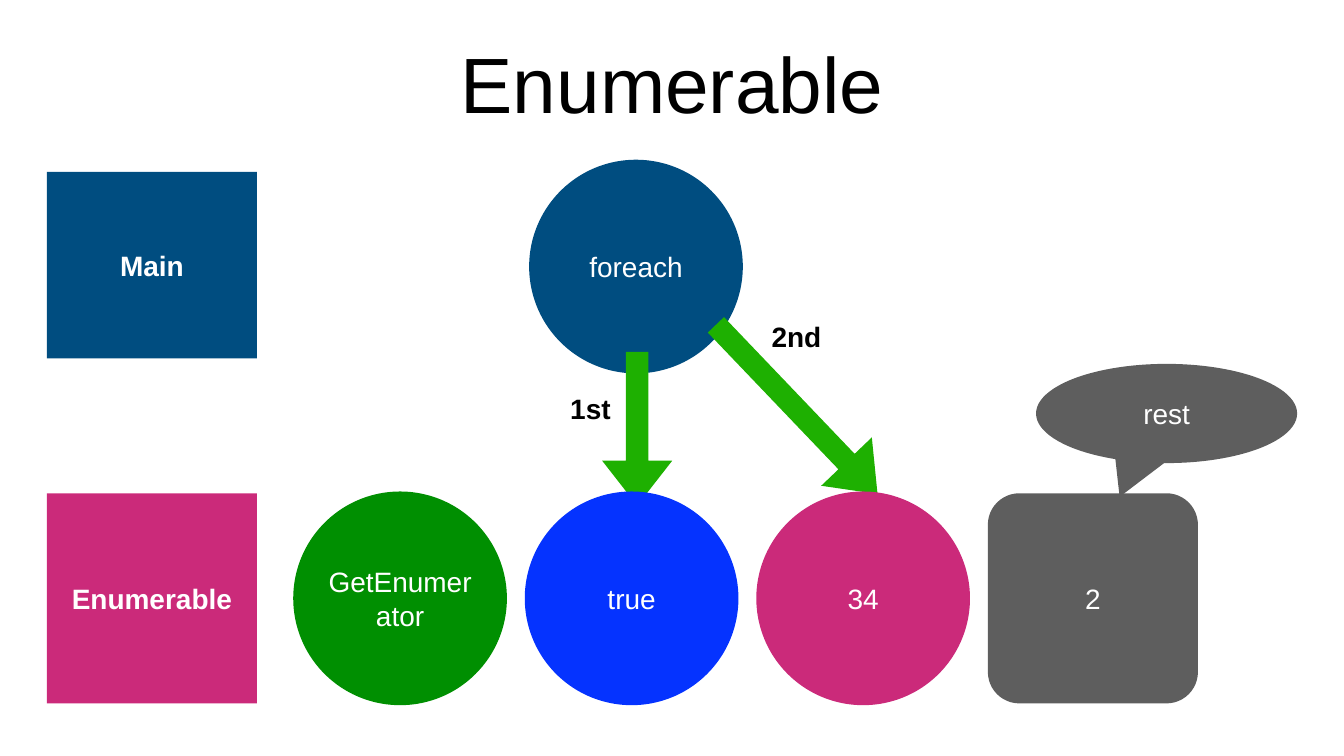
from pptx import Presentation
from pptx import util as u
from pptx.dml.color import RGBColor
from pptx.enum import shapes, text

Cm = u.Cm
FONT = "Arial"
WHITE, BLACK = "FFFFFF", "000000"
NAVY, PINK, GRAY = "004D80", "CB2A7A", "5E5E5E"
GREEN, BLUE, ARROW_GREEN = "008F01", "0533FF", "1EB001"
SHAPE = shapes.MSO_SHAPE
CIRCLE = 10.77
SQUARE = 10.59
INSET = (CIRCLE - SQUARE) / 2


def color(value):
    return RGBColor.from_string(value)


def write(shape, content, size=40, fill=WHITE, bold=False, margin=0, wrap=True):
    frame = shape.text_frame
    frame.word_wrap = wrap
    if not wrap:
        frame.auto_size = text.MSO_AUTO_SIZE.SHAPE_TO_FIT_TEXT
    frame.vertical_anchor = text.MSO_ANCHOR.MIDDLE
    frame.margin_left = frame.margin_right = Cm(margin)
    frame.margin_top = frame.margin_bottom = Cm(margin)
    paragraph = frame.paragraphs[0]
    paragraph.alignment = text.PP_ALIGN.CENTER
    run = paragraph.add_run()
    run.text = content
    run.font.name = FONT
    run.font.size = u.Pt(size)
    run.font.bold = bold
    run.font.color.rgb = color(fill)


def add_block(slide, kind, box, fill, content="", bold=False, adjustments=(), rotation=0):
    shape = slide.shapes.add_shape(kind, *map(Cm, box))
    shape.shadow.inherit = False
    shape.fill.solid()
    shape.fill.fore_color.rgb = color(fill)
    shape.line.fill.background()
    shape.rotation = rotation
    for index, value in enumerate(adjustments):
        shape.adjustments[index] = value
    if content:
        write(shape, content, bold=bold)


def add_text(slide, box, content, **style):
    shape = slide.shapes.add_textbox(*map(Cm, box))
    write(shape, content, fill=BLACK, margin=0.15, **style)


def add_main_row(slide, left, top):
    add_block(slide, SHAPE.RECTANGLE, (left, top + 0.61, SQUARE, 9.4), NAVY, "Main", bold=True)
    add_block(slide, SHAPE.OVAL, (left + 24.31, top, CIRCLE, CIRCLE), NAVY, "foreach")


def add_calls(slide, left, top):
    for x, y, length, rotation in ((1.57, 3.86, 7.75, 90), (7.59, 2.89, 11.79, 46.3)):
        add_block(slide, SHAPE.RIGHT_ARROW, (left + x, top + y, length, 3.53), ARROW_GREEN,
                  adjustments=(0.32, 0.64), rotation=rotation)
    for x, y, width, label in ((11.97, 0, 3, "2nd"), (1.79, 3.6, 2.6, "1st")):
        add_text(slide, (left + x, top + y, width, 1.98), label, bold=True, wrap=False)
    add_block(slide, SHAPE.OVAL_CALLOUT, (left + 25.55, top + 2.36, 13.16, 5), GRAY, "rest",
              adjustments=(-0.18, 0.84))


def add_enumerable_row(slide, left, top):
    first, pitch = left + 12.42, 11.67
    add_block(slide, SHAPE.RECTANGLE, (left, top + INSET, SQUARE, SQUARE), PINK,
              "Enumerable", bold=True)
    steps = (("GetEnumerator", GREEN), ("true", BLUE), ("34", PINK))
    for index, (label, fill) in enumerate(steps):
        add_block(slide, SHAPE.OVAL, (first + index * pitch, top, CIRCLE, CIRCLE), fill, label)
    add_block(slide, SHAPE.ROUNDED_RECTANGLE,
              (first + len(steps) * pitch, top + INSET, SQUARE, SQUARE), GRAY, "2",
              adjustments=(0.15,))


def main():
    presentation = Presentation()
    presentation.slide_width = Cm(67.74)
    presentation.slide_height = Cm(38.1)
    slide = presentation.slides.add_slide(presentation.slide_layouts[6])
    add_text(slide, (4.7, 0.99, 58.34, 6.35), "Enumerable", size=112)
    add_main_row(slide, 2.36, 8.05)
    add_calls(slide, 26.67, 15.98)
    add_enumerable_row(slide, 2.36, 24.77)
    presentation.save("out.pptx")


if __name__ == "__main__":
    main()
